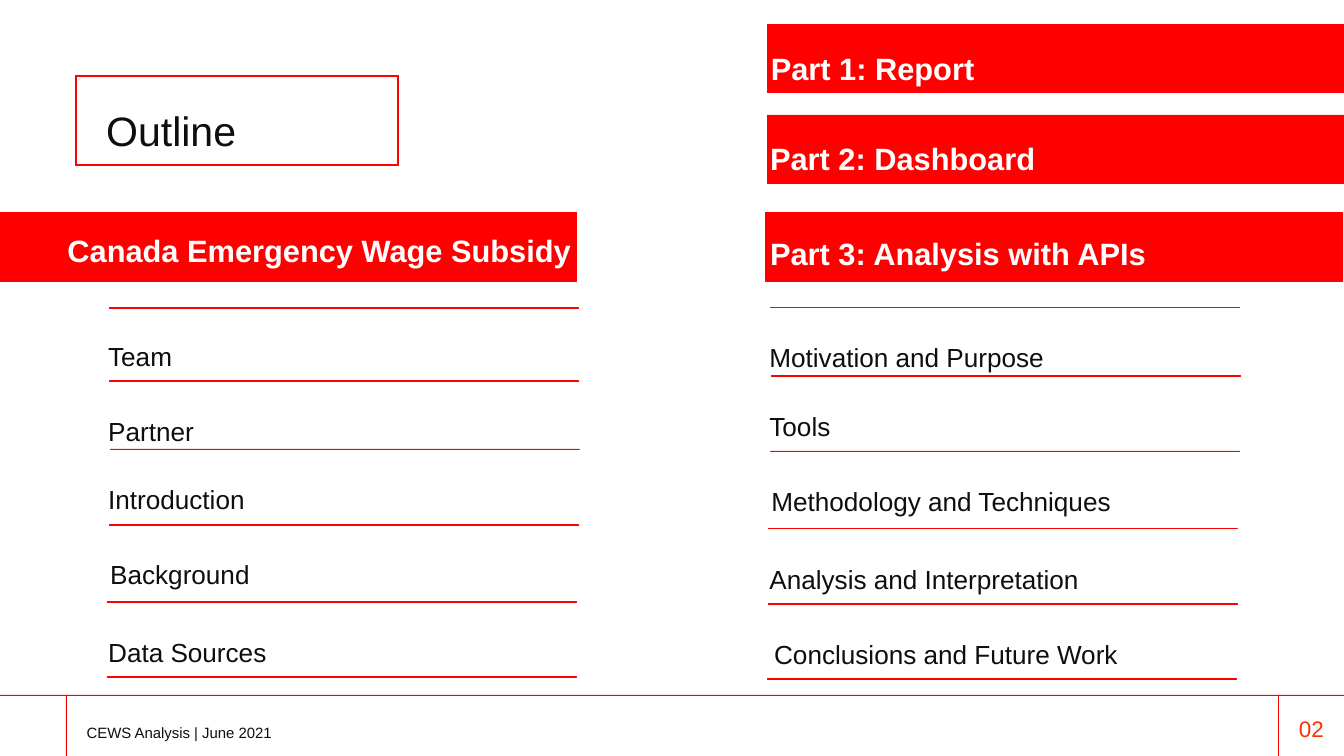
from pptx import Presentation
from pptx.dml.color import RGBColor
from pptx.enum.shapes import MSO_SHAPE as Preset
from pptx.enum.text import MSO_ANCHOR as Anchor, MSO_AUTO_SIZE as AutoSize, PP_ALIGN as Align
from pptx.util import Pt

PX = 9144
SLIDE_W, SLIDE_H = 2000, 1125
COLORS = {"red": "FF0000", "orange": "F43300", "ink": "0F0E0C", "white": "FFFFFF"}

TITLE = ("Outline", (158, 138, 390, 74))
TITLE_FRAME = (112, 112, 481, 134)

BANNERS = [
    ("Canada Emergency Wage Subsidy", (-4, 316, 862), (-6, 322, 856), Align.RIGHT),
    ("Part 3: Analysis with APIs", (1139, 316, 858), (1146, 327, 854), Align.LEFT),
    ("Part 2: Dashboard", (1142, 171, 858), (1146, 186, 854), Align.LEFT),
    ("Part 1: Report", (1142, 36, 858), (1147, 51, 853), Align.LEFT),
]
BANNER_H, BANNER_TEXT_H = 102, 78

TOPICS = [
    ("Team", 161, 488),
    ("Partner", 161, 599),
    ("Introduction", 161, 701),
    ("Background", 164, 812),
    ("Data Sources", 161, 929),
    ("Motivation and Purpose", 1145, 489),
    ("Tools", 1145, 592),
    ("Methodology and Techniques", 1148, 703),
    ("Analysis and Interpretation", 1145, 820),
    ("Conclusions and Future Work", 1152, 931),
]
TOPIC_W, TOPIC_H = 699, 50

TOPIC_RULES = [
    (162, 458), (163, 566), (164, 668), (163, 781), (159, 895), (159, 1007),
    (1147, 457), (1148, 559), (1147, 671), (1143, 786), (1143, 898), (1142, 1010),
]
RULE_W, RULE_T = 698, 1

FOOTER_RULES = [(0, 1034, SLIDE_W, RULE_T), (98, 1035, RULE_T, 91), (1902, 1036, RULE_T, 90)]
FOOTER = ("CEWS Analysis | June 2021", (129, 1066, 1067, 28))
PAGE_NUMBER = ("02", (1923, 1064, 57, 34))

BODY = {"size": Pt(28), "bold": False, "name": "Arial"}
HEADING = {**BODY, "size": Pt(33), "bold": True}
FRAME = {
    "margin_left": 0, "margin_top": 0, "margin_right": 0, "margin_bottom": 0,
    "word_wrap": True, "auto_size": AutoSize.SHAPE_TO_FIT_TEXT,
}


def apply(target, values):
    for key, value in values.items():
        setattr(target, key, value)


def emu(box):
    return [value * PX for value in box]


def paint(shape, fill):
    shape.shadow.inherit = False
    shape.fill.solid()
    shape.fill.fore_color.rgb = RGBColor.from_string(COLORS[fill])
    shape.line.color.rgb = RGBColor.from_string(COLORS["red"])
    shape.line.width = Pt(0.75)


def add_bar(slide, box, fill):
    paint(slide.shapes.add_shape(Preset.RECTANGLE, *emu(box)), fill)


def add_label(slide, text, box, font=BODY, color="ink", spacing=1.4,
              align=Align.LEFT, anchor=Anchor.TOP):
    frame = slide.shapes.add_textbox(*emu(box)).text_frame
    apply(frame, {**FRAME, "vertical_anchor": anchor})
    paragraph = frame.paragraphs[0]
    apply(paragraph, {"line_spacing": spacing, "alignment": align})
    run = paragraph.add_run()
    run.text = text
    apply(run.font, font)
    run.font.color.rgb = RGBColor.from_string(COLORS[color])


def add_title_frame(slide):
    left, top, width, height = TITLE_FRAME
    right, bottom = left + width, top + height
    outer = [(left, top), (left, bottom), (right, bottom), (right, top)]
    inner = [(right - 1, bottom - 1), (left + 1, bottom - 1),
             (left + 1, top + 1), (right - 1, top + 1)]
    builder = slide.shapes.build_freeform(*outer[0], scale=PX)
    builder.add_line_segments(outer[1:], close=True)
    builder.move_to(*inner[0])
    builder.add_line_segments(inner[1:], close=True)
    paint(builder.convert_to_shape(), "orange")


def main():
    deck = Presentation()
    apply(deck, {"slide_width": SLIDE_W * PX, "slide_height": SLIDE_H * PX})
    slide = deck.slides.add_slide(deck.slide_layouts[6])

    add_title_frame(slide)
    add_label(slide, *TITLE, font={**BODY, "size": Pt(44)}, spacing=1.25)

    for text, bar, label, align in BANNERS:
        add_bar(slide, (*bar, BANNER_H), "red")
        add_label(slide, text, (*label, BANNER_TEXT_H), HEADING, "white",
                  align=align, anchor=Anchor.MIDDLE)

    for left, top in TOPIC_RULES:
        add_bar(slide, (left, top, RULE_W, RULE_T), "orange")
    for text, left, top in TOPICS:
        add_label(slide, text, (left, top, TOPIC_W, TOPIC_H))

    for box in FOOTER_RULES:
        add_bar(slide, box, "red")
    add_label(slide, *FOOTER, font={**BODY, "size": Pt(16)})
    add_label(slide, *PAGE_NUMBER, font={**BODY, "size": Pt(24)}, color="orange",
              spacing=1.0, align=Align.CENTER)

    deck.save("out.pptx")


if __name__ == "__main__":
    main()
